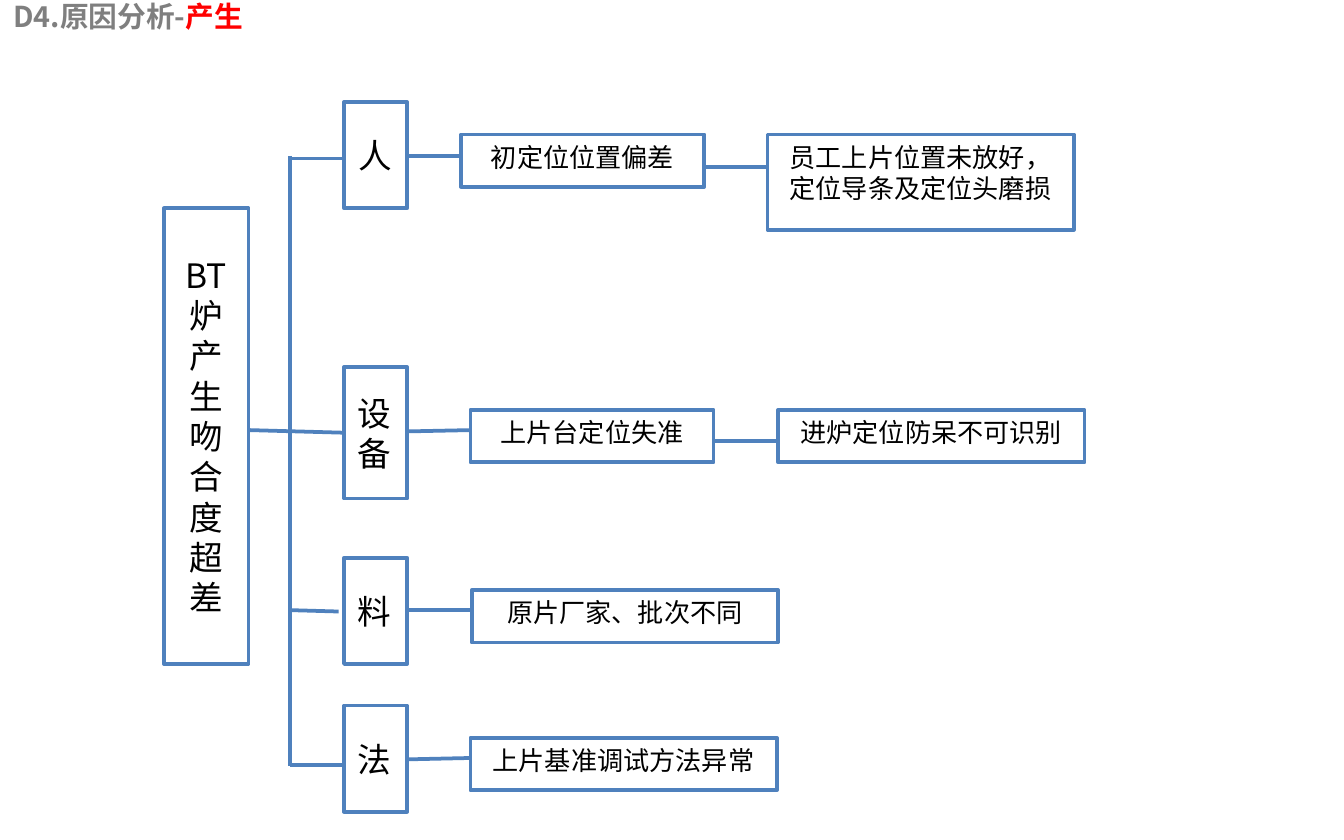
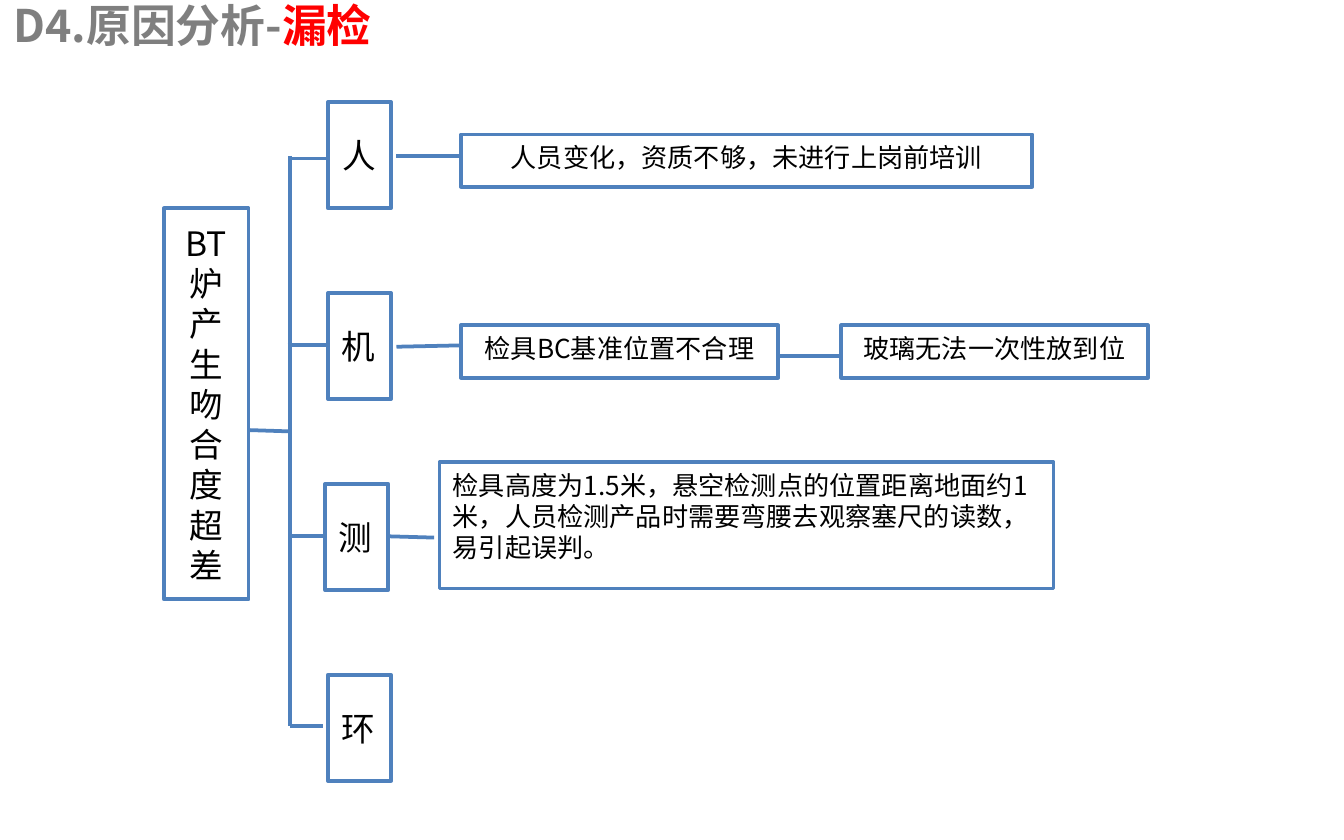
from lxml.etree import SubElement
from pptx import Presentation
from pptx.dml.color import RGBColor
from pptx.enum.shapes import MSO_CONNECTOR, MSO_SHAPE
from pptx.enum.text import MSO_ANCHOR, MSO_AUTO_SIZE, PP_ALIGN
from pptx.oxml.ns import qn
from pptx.util import Inches, Pt

FONT = "Noto Sans CJK SC"
BLUE = RGBColor(0x4F, 0x81, 0xBD)
GREY = RGBColor(0x7F, 0x7F, 0x7F)
RED = RGBColor(0xFF, 0x00, 0x00)
BLACK = RGBColor(0x00, 0x00, 0x00)
WHITE = RGBColor(0xFF, 0xFF, 0xFF)
LINE_WIDTH = Pt(2)
TRUNK = 2.16  # x of the vertical line that joins the categories
CATEGORY_WIDTH, CATEGORY_HEIGHT = 0.47, 0.79
DETAIL_HEIGHT = 0.39
CENTER, LEFT = PP_ALIGN.CENTER, PP_ALIGN.LEFT


def add_run(paragraph, text, size, color=BLACK, bold=False):
    run = paragraph.add_run()
    run.text = text
    run.font.size = Pt(size)
    run.font.bold = bold
    run.font.color.rgb = color
    run.font.name = FONT
    SubElement(run.font._element, qn("a:ea"), typeface=FONT)


def add_box(slide, text, left, top, width, height, size=14,
            align=CENTER, anchor=MSO_ANCHOR.TOP):
    box = slide.shapes.add_shape(MSO_SHAPE.RECTANGLE, Inches(left), Inches(top),
                                 Inches(width), Inches(height))
    box.shadow.inherit = False
    box.fill.solid()
    box.fill.fore_color.rgb = WHITE
    box.line.color.rgb = BLUE
    box.line.width = LINE_WIDTH
    box.text_frame.word_wrap = True
    box.text_frame.vertical_anchor = anchor
    paragraph = box.text_frame.paragraphs[0]
    paragraph.alignment = align
    add_run(paragraph, text, size)


# Categories: text, left, top, height, alignment
# Details: text, left, top, width, height, alignment
# Lines: from x, from y, to x, to y
analyses = [
    {
        "topic": "产生", "title_size": 15.4, "title_top": -0.01, "title_height": 0.39,
        "effect_height": 3.39,
        "categories": [
            ("人", 2.56, 0.76, CATEGORY_HEIGHT, CENTER),
            ("设备", 2.56, 2.73, 0.98, LEFT),
            ("料", 2.56, 4.15, CATEGORY_HEIGHT, LEFT),
            ("法", 2.56, 5.25, CATEGORY_HEIGHT, LEFT),
        ],
        "details": [
            ("初定位位置偏差", 3.43, 1, 1.81, DETAIL_HEIGHT, CENTER),
            ("员工上片位置未放好，定位导条及定位头磨损", 5.71, 1, 2.28, 0.71, CENTER),
            ("上片台定位失准", 3.5, 3.05, 1.81, DETAIL_HEIGHT, CENTER),
            ("进炉定位防呆不可识别", 5.79, 3.05, 2.28, DETAIL_HEIGHT, CENTER),
            ("原片厂家、批次不同", 3.51, 4.39, 2.28, DETAIL_HEIGHT, CENTER),
            ("上片基准调试方法异常", 3.5, 5.49, 2.28, DETAIL_HEIGHT, CENTER),
        ],
        "lines": [
            (TRUNK, 1.16, TRUNK, 5.7),
            (1.85, 3.2, 2.56, 3.22),
            (TRUNK, 1.18, 2.66, 1.18),
            (TRUNK, 4.54, 2.52, 4.55),
            (TRUNK, 5.69, 2.66, 5.69),
            (3.03, 1.16, 3.43, 1.16),
            (5.24, 1.24, 5.71, 1.24),
            (3.03, 3.21, 3.51, 3.2),
            (5.32, 3.28, 5.79, 3.28),
            (3.03, 4.54, 3.51, 4.54),
            (3.03, 5.65, 3.5, 5.64),
        ],
    },
    {
        "topic": "漏检", "title_size": 24, "title_top": 0.01, "title_height": 0.45,
        "effect_height": 2.91,
        "categories": [
            ("人", 2.44, 0.76, CATEGORY_HEIGHT, CENTER),
            ("机", 2.44, 2.18, CATEGORY_HEIGHT, LEFT),
            ("测", 2.42, 3.6, CATEGORY_HEIGHT, LEFT),
            ("环", 2.44, 5.02, CATEGORY_HEIGHT, LEFT),
        ],
        "details": [
            ("人员变化，资质不够，未进行上岗前培训", 3.43, 1, 4.25, DETAIL_HEIGHT, CENTER),
            ("检具BC基准位置不合理", 3.43, 2.42, 2.36, DETAIL_HEIGHT, CENTER),
            ("玻璃无法一次性放到位", 6.26, 2.42, 2.28, DETAIL_HEIGHT, CENTER),
            ("检具高度为1.5米，悬空检测点的位置距离地面约1米，"
             "人员检测产品时需要弯腰去观察塞尺的读数，易引起误判。",
             3.27, 3.44, 4.57, 0.94, LEFT),
        ],
        "lines": [
            (TRUNK, 1.16, TRUNK, 5.4),
            (1.85, 3.2, TRUNK, 3.21),
            (TRUNK, 1.18, 2.66, 1.18),
            (2.14, 2.57, 2.44, 2.57),
            (TRUNK, 3.99, 2.42, 3.99),
            (TRUNK, 5.4, 2.4, 5.4),
            (2.95, 1.16, 3.43, 1.16),
            (2.95, 2.58, 3.43, 2.57),
            (5.79, 2.65, 6.26, 2.65),
            (2.87, 3.99, 3.23, 4),
        ],
    },
]

presentation = Presentation()
presentation.slide_width = Inches(10)
presentation.slide_height = Inches(6.25)

for analysis in analyses:
    slide = presentation.slides.add_slide(presentation.slide_layouts[5])

    # Title
    title = slide.shapes.title
    title.left, title.top = Inches(0), Inches(analysis["title_top"])
    title.width, title.height = Inches(7.76), Inches(analysis["title_height"])
    title.text_frame.auto_size = MSO_AUTO_SIZE.NONE
    title.text_frame.word_wrap = True
    title.text_frame.vertical_anchor = MSO_ANCHOR.TOP
    paragraph = title.text_frame.paragraphs[0]
    paragraph.alignment = LEFT
    paragraph.line_spacing = 0.8
    add_run(paragraph, "D4.原因分析-", analysis["title_size"], GREY, bold=True)
    add_run(paragraph, analysis["topic"], analysis["title_size"], RED, bold=True)

    # Branch lines, behind the boxes
    for start_x, start_y, end_x, end_y in analysis["lines"]:
        connector = slide.shapes.add_connector(
            MSO_CONNECTOR.STRAIGHT, Inches(start_x), Inches(start_y),
            Inches(end_x), Inches(end_y))
        connector.line.color.rgb = BLUE
        connector.line.width = LINE_WIDTH
        SubElement(connector._element.spPr, qn("a:effectLst"))

    # Effect, categories and details
    add_box(slide, "BT炉产生吻合度超差", 1.22, 1.55, 0.63, analysis["effect_height"],
            size=18, anchor=MSO_ANCHOR.MIDDLE)
    for text, left, top, height, align in analysis["categories"]:
        add_box(slide, text, left, top, CATEGORY_WIDTH, height,
                size=18, align=align, anchor=MSO_ANCHOR.MIDDLE)
    for text, left, top, width, height, align in analysis["details"]:
        add_box(slide, text, left, top, width, height, align=align)

presentation.save("out.pptx")
